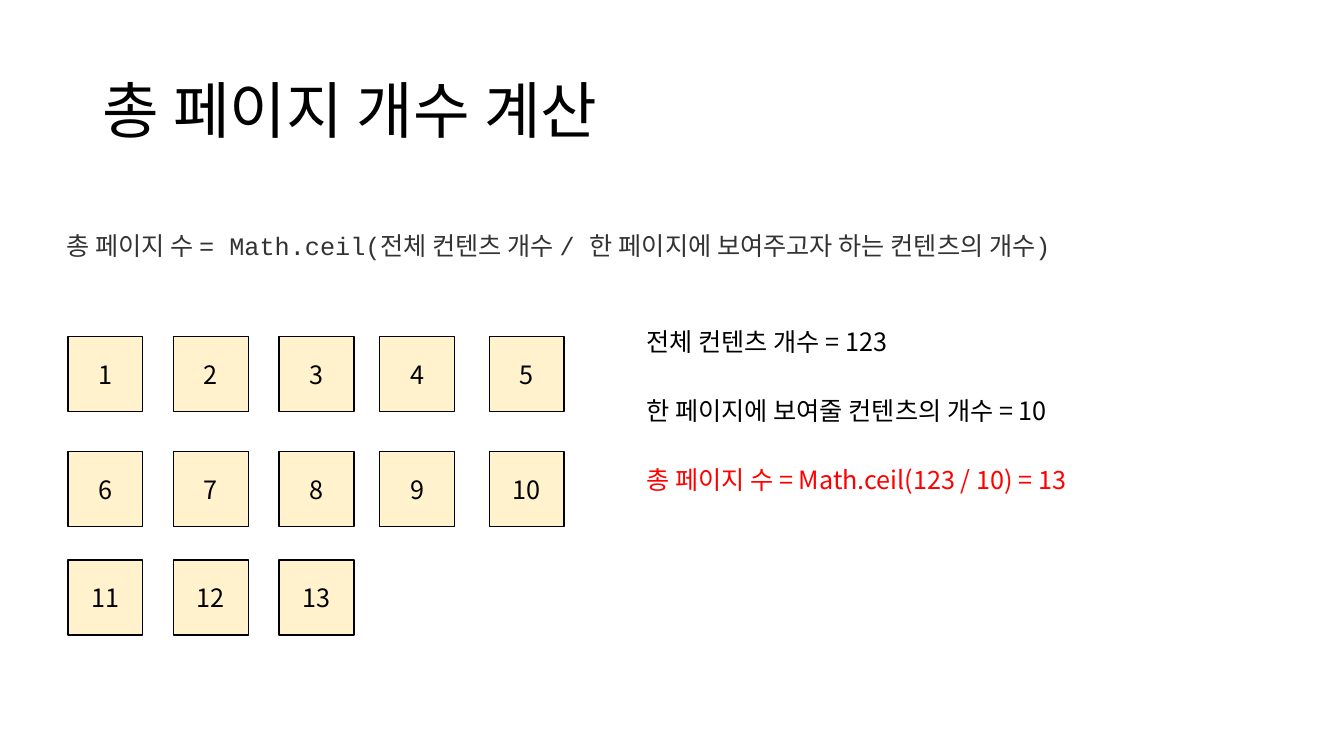
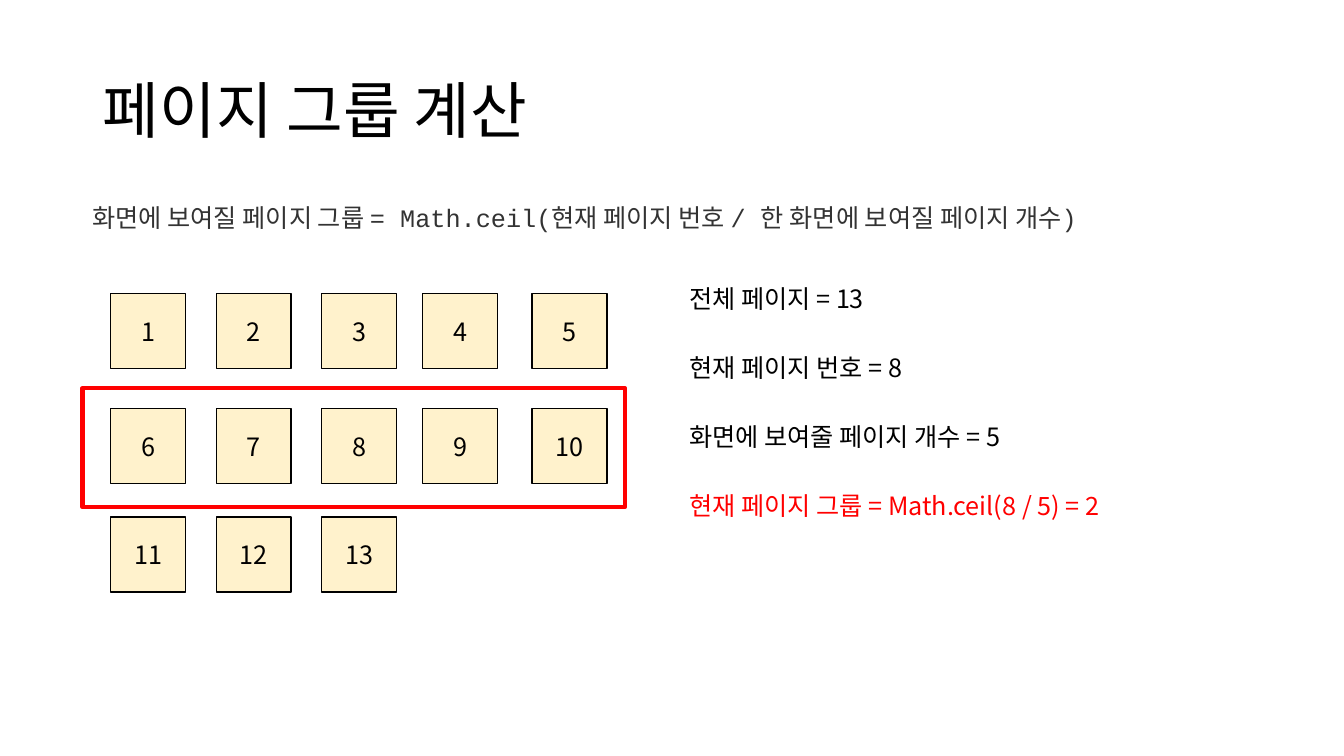
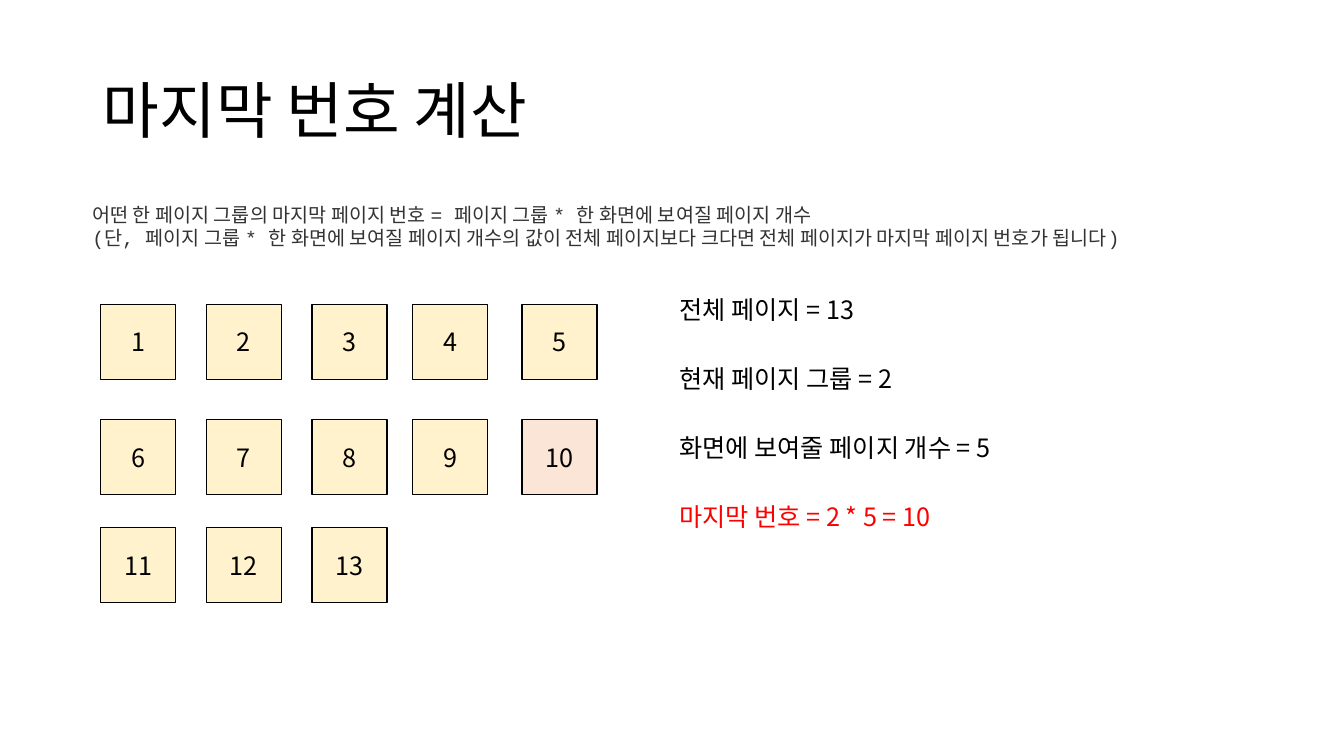
import pptx
import pptx.dml.color
import pptx.enum.shapes
import pptx.enum.text
import pptx.oxml.ns
import pptx.util
from lxml import etree

Cm = pptx.util.Cm
Pt = pptx.util.Pt
ANCHOR = pptx.enum.text.MSO_ANCHOR
ALIGN = pptx.enum.text.PP_ALIGN

BLACK, GRAY, RED = "000000", "333333", "FF0000"
CREAM, PEACH = "FFF2CC", "FBE5D6"
SANS, MONO, LATO = "Noto Sans CJK KR", "Courier New", "Lato"


def rgb(value):
    return pptx.dml.color.RGBColor.from_string(value)


class Deck:
    # Page boxes: offsets from the first box, in cm
    COLS = (0, 2.66, 5.32, 7.86, 10.62)
    ROWS = (0, 2.9, 5.63)
    BOX = 1.89
    PAGES = 13
    # Facts: offset from the first box and line step
    FACT_DX, FACT_DY, FACT_STEP = 14.33, -0.38, 1.74

    def __init__(self):
        self.prs = pptx.Presentation()
        self.prs.slide_width, self.prs.slide_height = Cm(33.87), Cm(19.05)
        self.s = None

    def slide(self, title, font):
        self.s = self.prs.slides.add_slide(self.prs.slide_layouts[6])
        tf = self.text(2.34, 1.02, 29.21, 3.68, [title], 44, font)
        tf.vertical_anchor = ANCHOR.MIDDLE
        tf.paragraphs[0].line_spacing = 0.9

    def run(self, p, text, size, font, color):
        r = p.add_run()
        r.text = text
        r.font.size = Pt(size)
        r.font.color.rgb = rgb(color)
        r.font.name = font
        # Hangul font
        ea = etree.SubElement(r.font._element, pptx.oxml.ns.qn("a:ea"))
        ea.set("typeface", SANS)

    def text(self, x, y, w, h, lines, size=18, font=SANS, color=BLACK):
        tf = self.s.shapes.add_textbox(Cm(x), Cm(y), Cm(w), Cm(h)).text_frame
        tf.word_wrap = True
        for i, line in enumerate(lines):
            p = tf.add_paragraph() if i else tf.paragraphs[0]
            self.run(p, line, size, font, color)
        return tf

    def formula(self, x, y, w, h, lines, size=18):
        self.text(x, y, w, h, lines, size, MONO, GRAY)

    def rect(self, x, y, w, h, fill, line, weight):
        sp = self.s.shapes.add_shape(
            pptx.enum.shapes.MSO_SHAPE.RECTANGLE, Cm(x), Cm(y), Cm(w), Cm(h))
        sp.shadow.inherit = False
        if fill:
            sp.fill.solid()
            sp.fill.fore_color.rgb = rgb(fill)
        else:
            sp.fill.background()
        sp.line.color.rgb = rgb(line)
        sp.line.width = Pt(weight)
        return sp

    def pages(self, x, y, marked=None):
        for i in range(self.PAGES):
            row, col = divmod(i, len(self.COLS))
            number = i + 1
            sp = self.rect(x + self.COLS[col], y + self.ROWS[row], self.BOX, self.BOX,
                           PEACH if number == marked else CREAM, BLACK, 1)
            tf = sp.text_frame
            tf.vertical_anchor = ANCHOR.MIDDLE
            p = tf.paragraphs[0]
            p.alignment = ALIGN.CENTER
            self.run(p, str(number), 18, SANS, BLACK)

    def facts(self, x, y, items):
        # The last line is the result, in red
        for i, (line, w) in enumerate(items):
            color = RED if i == len(items) - 1 else BLACK
            self.text(x + self.FACT_DX, y + self.FACT_DY + i * self.FACT_STEP,
                      w, 1.02, [line], color=color)


deck = Deck()

# Slide 1: total number of pages
deck.slide("총 페이지 개수 계산", SANS)
deck.formula(1.42, 5.69, 29.72, 1.02, [
    "총 페이지 수 = Math.ceil(전체 컨텐츠 개수 / 한 페이지에 보여주고자 하는 컨텐츠의 개수)"])
deck.pages(1.71, 8.48)
deck.facts(1.71, 8.48, [
    ("전체 컨텐츠 개수 = 123", 7.42),
    ("한 페이지에 보여줄 컨텐츠의 개수 = 10", 12.01),
    ("총 페이지 수 = Math.ceil(123 / 10) = 13", 12.17)])

# Slide 2: page group, with the current group framed
deck.slide("페이지 그룹 계산", LATO)
deck.formula(2.08, 4.98, 29.72, 1.02, [
    "화면에 보여질 페이지 그룹 = Math.ceil(현재 페이지 번호 / 한 화면에 보여질 페이지 개수)"])
deck.pages(2.79, 7.4)
deck.facts(2.79, 7.4, [
    ("전체 페이지 = 13", 5.56),
    ("현재 페이지 번호 = 8", 6.71),
    ("화면에 보여줄 페이지 개수 = 5", 9.5),
    ("현재 페이지 그룹 = Math.ceil(8 / 5) = 2", 12.04)])
deck.rect(2.08, 9.78, 13.67, 3, None, RED, 3)

# Slide 3: last page number of the group
deck.slide("마지막 번호 계산", LATO)
deck.formula(2.08, 4.98, 31.52, 1.45, [
    "어떤 한 페이지 그룹의 마지막 페이지 번호 = 페이지 그룹 * 한 화면에 보여질 페이지 개수",
    "(단, 페이지 그룹 * 한 화면에 보여질 페이지 개수의 값이 전체 페이지보다 크다면 "
    "전체 페이지가 마지막 페이지 번호가 됩니다)"], 14)
deck.pages(2.54, 7.67, marked=10)
deck.facts(2.54, 7.67, [
    ("전체 페이지 = 13", 5.56),
    ("현재 페이지 그룹 = 2", 6.71),
    ("화면에 보여줄 페이지 개수 = 5", 9.5),
    ("마지막 번호 = 2 * 5 = 10", 7.9)])

deck.prs.save("out.pptx")
